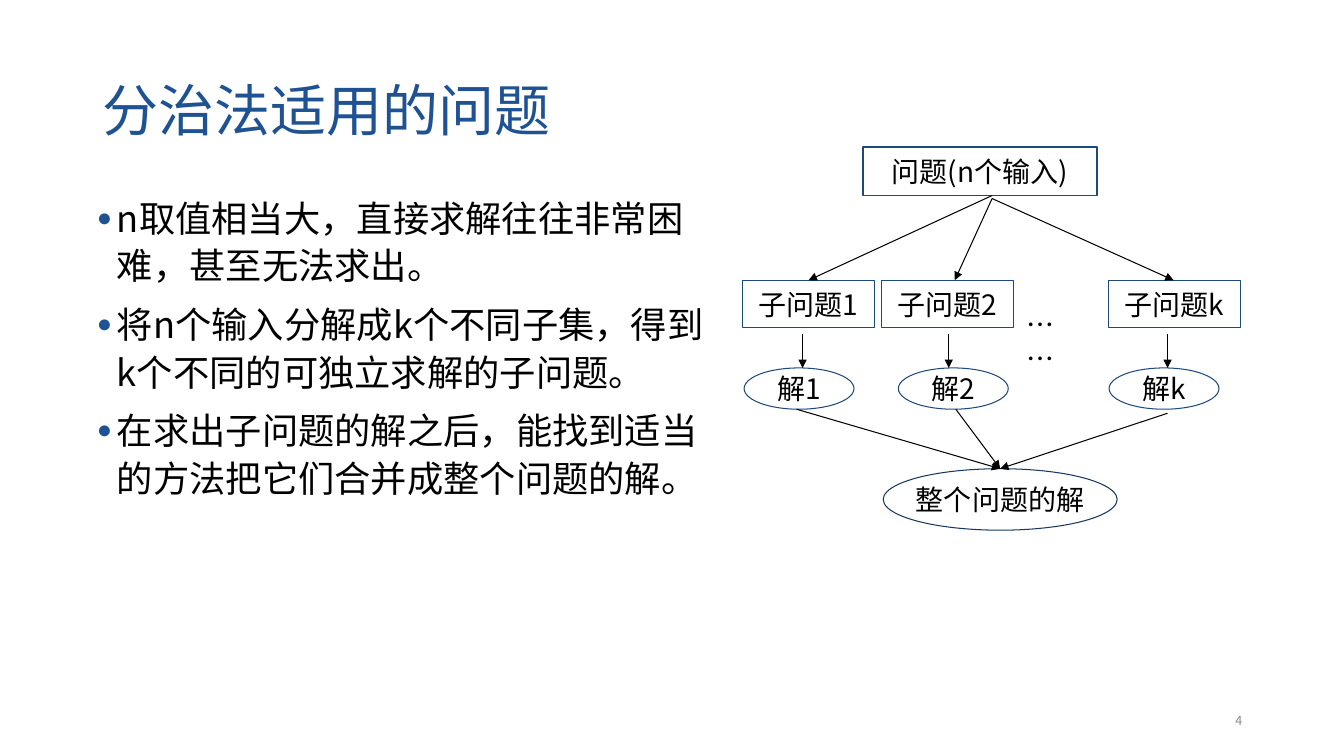
import pptx
import pptx.util
import pptx.dml.color
import pptx.enum.shapes
import pptx.enum.text
import pptx.oxml
import pptx.oxml.ns
from lxml import etree

Inches = pptx.util.Inches
Pt = pptx.util.Pt
RGB = pptx.dml.color.RGBColor.from_string
Shape = pptx.enum.shapes.MSO_SHAPE
Align = pptx.enum.text.PP_ALIGN
Anchor = pptx.enum.text.MSO_ANCHOR
qn = pptx.oxml.ns.qn

COLORS = {"title": "1E5293", "ink": "000000", "paper": "FFFFFF",
          "border": "1F497D", "result": "17375E", "number": "8C8C8C"}
FONT = "Noto Sans CJK SC"


def add_span(para, text, size, color="ink", font=FONT):
    span = para.add_run()
    span.text = text
    span.font.size = Pt(size)
    span.font.name = font
    span.font.color.rgb = RGB(COLORS[color])
    east_asian = etree.SubElement(span.font._element, qn("a:ea"))
    east_asian.set("typeface", FONT)


def add_node(kind, left, top, width, height, text, border="border", weight=0.75):
    node = page.shapes.add_shape(kind, Inches(left), Inches(top), Inches(width), Inches(height))
    node.shadow.inherit = False
    node.fill.solid()
    node.fill.fore_color.rgb = RGB(COLORS["paper"])
    node.line.color.rgb = RGB(COLORS[border])
    node.line.width = Pt(weight)
    node.text_frame.word_wrap = False
    node.text_frame.vertical_anchor = Anchor.MIDDLE
    para = node.text_frame.paragraphs[0]
    para.alignment = Align.CENTER
    add_span(para, text, 20)


deck = pptx.Presentation()
deck.slide_width = Inches(13.33)
deck.slide_height = Inches(7.5)
page = deck.slides.add_slide(deck.slide_layouts[1])

title = page.shapes.title
title.left, title.top, title.width, title.height = map(Inches, (0.92, 0.4, 11.5, 1.45))
title.text_frame.auto_size = pptx.enum.text.MSO_AUTO_SIZE.NONE
title.text_frame.vertical_anchor = Anchor.MIDDLE
para = title.text_frame.paragraphs[0]
para.alignment = Align.LEFT
para.line_spacing = 0.9
add_span(para, "分治法适用的问题", 40, "title", "Arial")

body = page.placeholders[1]
body.left, body.top, body.width, body.height = map(Inches, (0.86, 1.85, 6.23, 3.98))
body.text_frame.auto_size = pptx.enum.text.MSO_AUTO_SIZE.NONE
points = ["n取值相当大，直接求解往往非常困难，甚至无法求出。",
          "将n个输入分解成k个不同子集，得到k个不同的可独立求解的子问题。",
          "在求出子问题的解之后，能找到适当的方法把它们合并成整个问题的解。"]
for index, point in enumerate(points):
    para = body.text_frame.add_paragraph() if index else body.text_frame.paragraphs[0]
    properties = para._p.get_or_add_pPr()
    properties.set("marL", str(Inches(0.2)))
    properties.set("indent", str(Inches(-0.2)))
    bullet_color = etree.SubElement(properties, qn("a:buClr"))
    etree.SubElement(bullet_color, qn("a:srgbClr")).set("val", COLORS["title"])
    etree.SubElement(properties, qn("a:buSzPct")).set("val", "70000")
    etree.SubElement(properties, qn("a:buFont")).set("typeface", "Arial")
    etree.SubElement(properties, qn("a:buChar")).set("char", "●")
    para.line_spacing = 1.1
    para.space_before = Pt(7.5 if index else 0)
    add_span(para, point, 25.9)

add_node(Shape.RECTANGLE, 8.56, 1.46, 2.32, 0.48, "问题(n个输入)", weight=1)

box = page.shapes.add_textbox(Inches(10.08), Inches(2.99), Inches(0.8), Inches(0.77))
box.fill.solid()
box.fill.fore_color.rgb = RGB(COLORS["paper"])
box.text_frame.word_wrap = True
para = box.text_frame.paragraphs[0]
para.line_spacing = Pt(24.5)
add_span(para, "… …", 20)

branches = [("1", 7.36, 7.38), ("2", 8.74, 8.91), ("k", 10.99, 11)]
for name, problem_left, answer_left in branches:
    add_node(Shape.RECTANGLE, problem_left, 2.78, 1.31, 0.47, f"子问题{name}")
    add_node(Shape.OVAL, answer_left, 3.65, 1.09, 0.41, f"解{name}")
add_node(Shape.OVAL, 8.76, 4.65, 2.32, 0.61, "整个问题的解", "result")

arrows = [(9.84, 1.94, 8.02, 2.78), (9.84, 1.97, 9.47, 2.78), (9.84, 1.97, 11.64, 2.78)]
arrows += [(x, 3.31, x, 3.65) for x in (7.96, 9.41, 11.58)]
arrows += [(x, y, 9.92, 4.65) for x, y in ((7.9, 4.06), (9.48, 4.06), (11.58, 4.1))]
for ends in arrows:
    arrow = page.shapes.add_connector(pptx.enum.shapes.MSO_CONNECTOR.STRAIGHT, *map(Inches, ends))
    arrow.line.color.rgb = RGB(COLORS["ink"])
    arrow.line.width = Pt(0.75)
    etree.SubElement(arrow.line._get_or_add_ln(), qn("a:tailEnd")).set("type", "triangle")
    etree.SubElement(arrow._element.spPr, qn("a:effectLst"))

number = page.shapes.add_textbox(Inches(9.42), Inches(6.95), Inches(3), Inches(0.4))
number.text_frame.word_wrap = True
number.text_frame.vertical_anchor = Anchor.MIDDLE
para = number.text_frame.paragraphs[0]
para.alignment = Align.RIGHT
add_span(para, "4", 9, "number")

deck.save("out.pptx")
